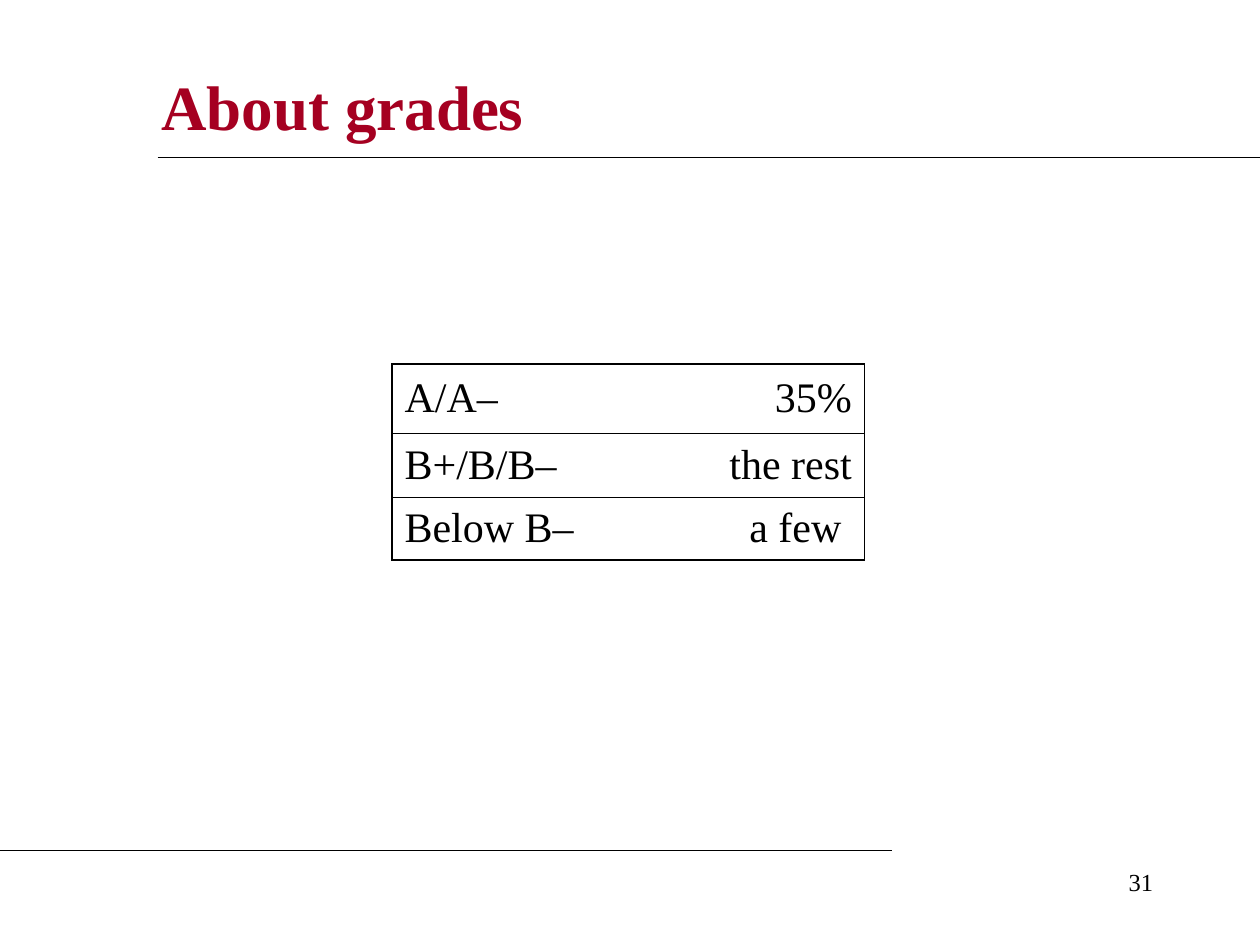
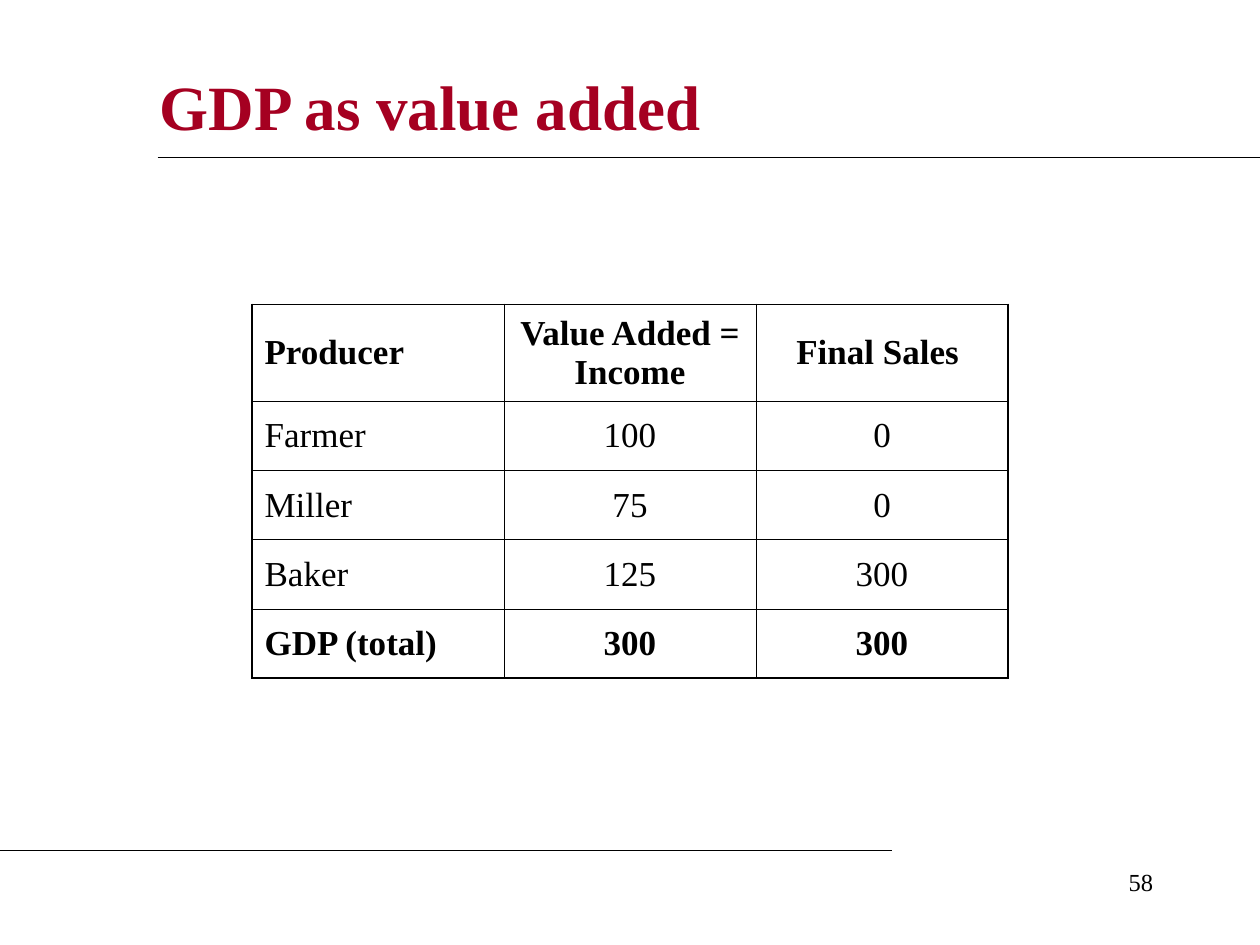
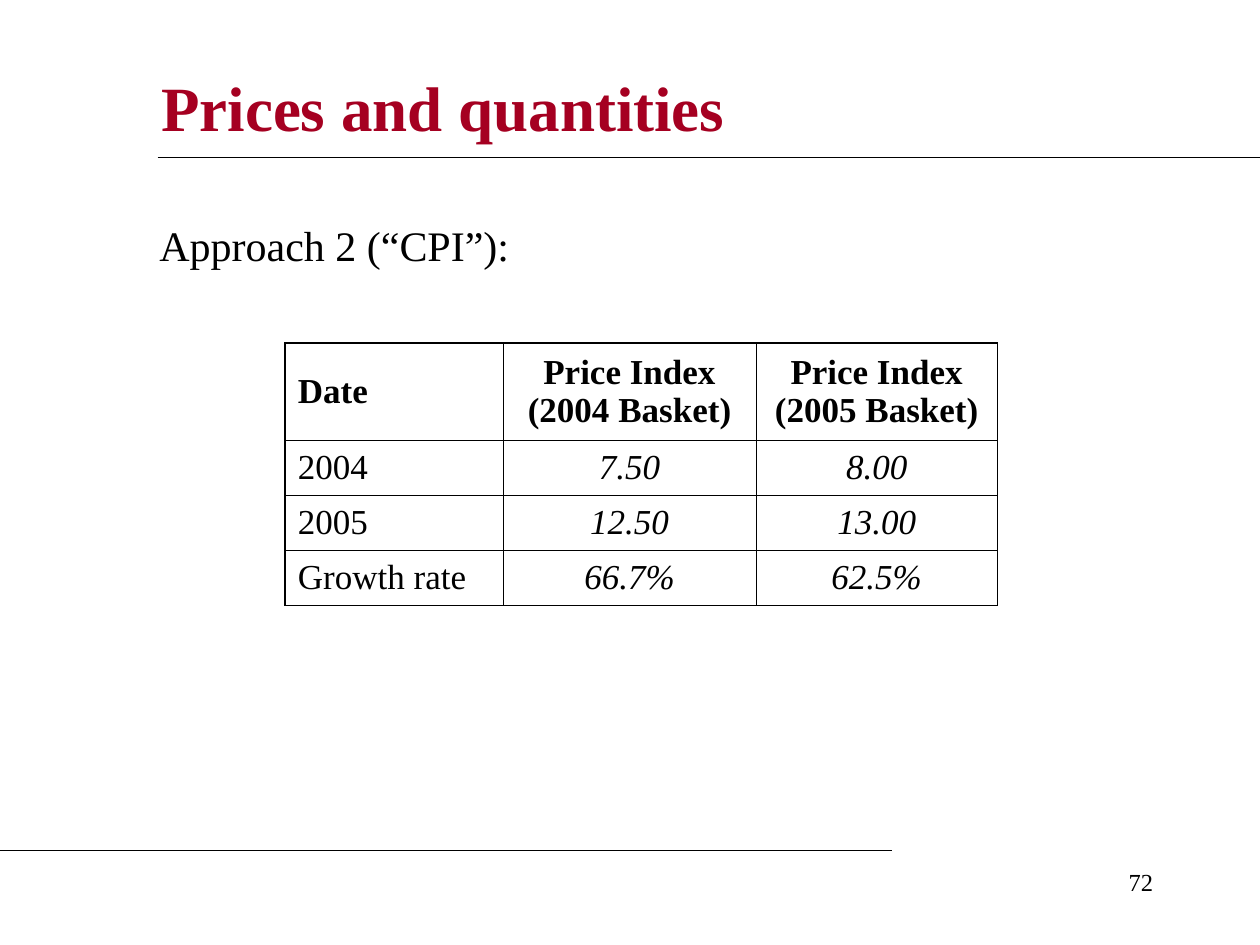
"""Build three lecture slides, each with a ruled title, a table and a page number."""
from dataclasses import dataclass

from lxml.etree import SubElement
from pptx import Presentation
from pptx.dml.color import RGBColor
from pptx.enum.text import MSO_ANCHOR as Anchor, MSO_AUTO_SIZE as AutoSize, PP_ALIGN as Align
from pptx.oxml.ns import qn
from pptx.util import Pt


@dataclass(frozen=True)
class Theme:
    font: str = "Times New Roman"
    black: str = "000000"
    red: str = "A50021"
    title_size: float = 36
    body_size: float = 24
    grid_size: float = 20
    number_size: float = 14
    rule: float = 0.75
    outer_border: float = 1.08
    bottom_border: float = 1.47
    inner_border: float = 0.45


THEME = Theme()
SLIDE_SIZE = (720, 540)
RULES = [((90, 90), (720, 90)), ((0, 486), (510, 486))]
NUMBER_BOX = (516, 492, 150, 36)
SUBTITLE_BOX = (84, 122, 372, 36)

SLIDES = [
    {
        "title": "About grades", "title_box": (85, 36, 600, 48), "number": "31",
        "table": {
            "position": (224, 208), "columns": [156, 114], "rows": [39.5, 36.5, 36],
            "size": THEME.body_size, "align": Align.RIGHT, "bottom": THEME.bottom_border,
            "column_lines": False, "bold_rows": [], "italic_values": False,
            "cells": [("A/A–", "35%"), ("B+/B/B–", "the rest"), ("Below B–", "a few ")],
        },
    },
    {
        "title": "GDP as value added", "title_box": (84, 30, 582, 60), "number": "58",
        "table": {
            "position": (144, 174), "columns": [144] * 3, "rows": [55.5] + [39.5] * 4,
            "size": THEME.grid_size, "align": Align.CENTER, "bottom": THEME.outer_border,
            "column_lines": True, "bold_rows": [0, 4], "italic_values": False,
            "cells": [
                ("Producer", "Value Added = Income", "Final Sales "),
                ("Farmer", "100", "0"),
                ("Miller", "75", "0"),
                ("Baker", "125", "300"),
                ("GDP (total)", "300", "300"),
            ],
        },
    },
    {
        "title": "Prices and quantities", "title_box": (85, 34, 582, 54), "number": "72",
        "subtitle": "Approach 2 (“CPI”):",
        "table": {
            "position": (163, 196), "columns": [124.5, 144.5, 138], "rows": [55.5] + [31.5] * 3,
            "size": THEME.grid_size, "align": Align.CENTER, "bottom": THEME.outer_border,
            "column_lines": True, "bold_rows": [0], "italic_values": True,
            "cells": [
                ("Date", "Price Index (2004 Basket)", "Price Index (2005 Basket)"),
                ("2004", "7.50", "8.00"),
                ("2005", "12.50", "13.00"),
                ("Growth rate", "66.7%", "62.5%"),
            ],
        },
    },
]


def points(values):
    return [Pt(value) for value in values]


def write(frame, text, size, color=THEME.black, align=Align.LEFT, bold=False, italic=False):
    frame.word_wrap = True
    paragraph = frame.paragraphs[0]
    paragraph.alignment = align
    run = paragraph.add_run()
    run.text = text
    run.font.name = THEME.font
    run.font.size = Pt(size)
    run.font.bold = bold
    run.font.italic = italic
    run.font.color.rgb = RGBColor.from_string(color)


def add_title(slide, text, box):
    title = slide.shapes.title
    title.left, title.top, title.width, title.height = points(box)
    frame = title.text_frame
    frame.auto_size = AutoSize.NONE
    frame.vertical_anchor = Anchor.MIDDLE
    write(frame, text, THEME.title_size, THEME.red, bold=True)


def add_text(slide, text, box, size, align=Align.LEFT):
    write(slide.shapes.add_textbox(*points(box)).text_frame, text, size, align=align)


def add_rule(slide, start, end):
    rule = slide.shapes.add_connector(1, *points(start + end))
    rule.line.width = Pt(THEME.rule)
    rule.line.color.rgb = RGBColor.from_string(THEME.black)
    SubElement(rule._element.spPr, qn("a:effectLst"))


def set_borders(cell, widths):
    properties = cell._tc.get_or_add_tcPr()
    for side, width in zip("LRTB", widths):
        line = SubElement(properties, qn(f"a:ln{side}"), w=str(Pt(width)))
        if width:
            fill = SubElement(line, qn("a:solidFill"))
            SubElement(fill, qn("a:srgbClr"), val=THEME.black)
        else:
            SubElement(line, qn("a:noFill"))


def add_table(slide, data):
    columns, rows = data["columns"], data["rows"]
    box = (*data["position"], sum(columns), sum(rows))
    table = slide.shapes.add_table(len(rows), len(columns), *points(box)).table
    table.first_row = table.horz_banding = False
    for column, width in zip(table.columns, columns):
        column.width = Pt(width)
    for row, height in zip(table.rows, rows):
        row.height = Pt(height)

    outer, inner = THEME.outer_border, THEME.inner_border
    across = inner if data["column_lines"] else 0
    vertical = [outer] + [across] * (len(columns) - 1) + [outer]
    horizontal = [outer] + [inner] * (len(rows) - 1) + [data["bottom"]]
    for r, texts in enumerate(data["cells"]):
        for c, text in enumerate(texts):
            cell = table.cell(r, c)
            set_borders(cell, vertical[c:c + 2] + horizontal[r:r + 2])
            cell.fill.background()
            cell.vertical_anchor = Anchor.MIDDLE
            write(cell.text_frame, text, data["size"],
                  align=data["align"] if c else Align.LEFT,
                  bold=r in data["bold_rows"],
                  italic=data["italic_values"] and r > 0 and c > 0)


def main():
    presentation = Presentation()
    presentation.slide_width, presentation.slide_height = points(SLIDE_SIZE)
    title_only = presentation.slide_layouts[5]
    for content in SLIDES:
        slide = presentation.slides.add_slide(title_only)
        add_text(slide, content["number"], NUMBER_BOX, THEME.number_size, Align.RIGHT)
        add_title(slide, content["title"], content["title_box"])
        for start, end in RULES:
            add_rule(slide, start, end)
        add_table(slide, content["table"])
        if "subtitle" in content:
            add_text(slide, content["subtitle"], SUBTITLE_BOX, THEME.body_size)
    presentation.save("out.pptx")


if __name__ == "__main__":
    main()
